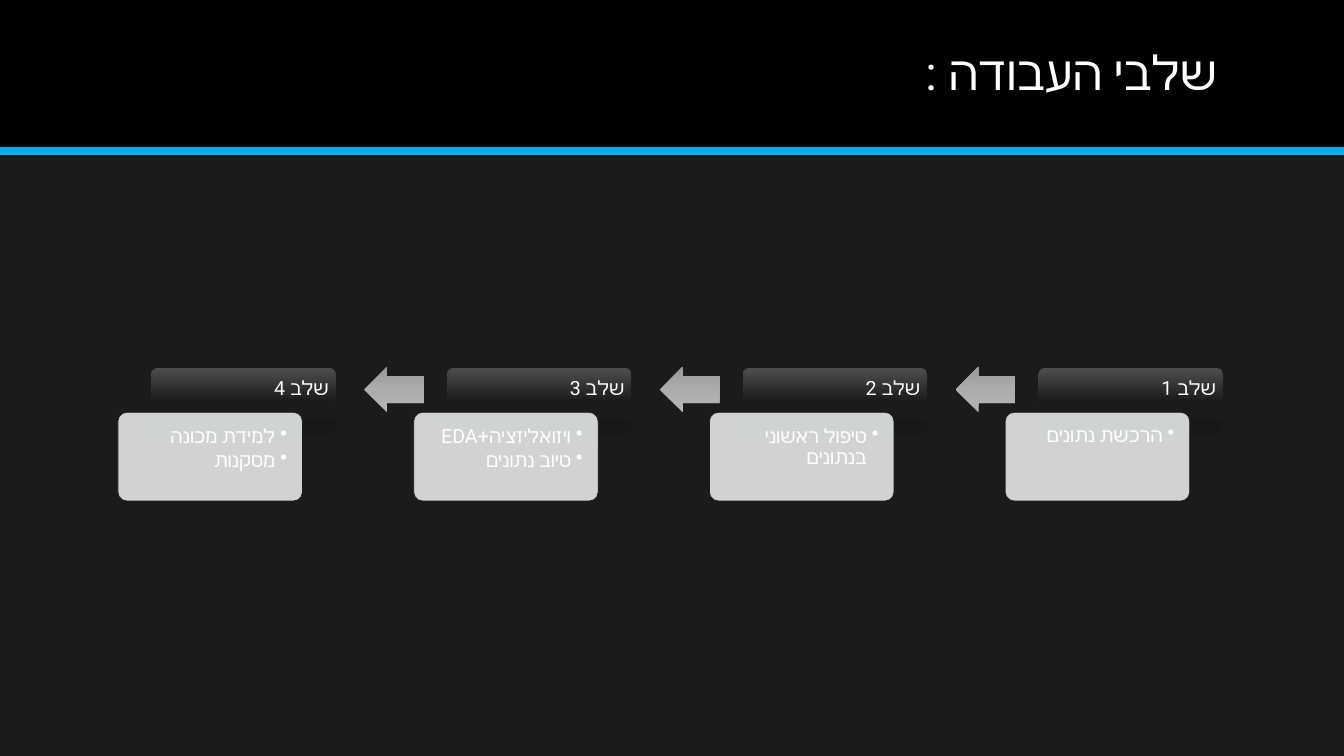
"""Build a dark right-to-left slide showing four work stages joined by arrows."""
from dataclasses import dataclass

import pptx
import pptx.dml.color
import pptx.enum.shapes
import pptx.enum.text
import pptx.oxml
import pptx.oxml.ns
import pptx.util
from lxml import etree

Inches = pptx.util.Inches
Pt = pptx.util.Pt
Shape = pptx.enum.shapes.MSO_SHAPE
Anchor = pptx.enum.text.MSO_ANCHOR
qn = pptx.oxml.ns.qn

FONT = "Roboto"
COLORS = {
    "background": "1B1B1B",
    "banner": "000000",
    "rule": "00B0EA",
    "text": "FFFFFF",
    "card": "E5E8E8",
}
HEADER_GRADIENT = ("4E4E4E", "1B1B1B", "181818")
ARROW_GRADIENT = ("B5B5B5", "ACACAC", "999999")
FIRST_LEFT = 10.3
PITCH = 8.8 / 3


@dataclass(frozen=True)
class Stage:
    """One work stage: its label and its bullet points."""
    label: str
    points: tuple[str, ...]


STAGES = (
    Stage("שלב 1", ("הרכשת נתונים",)),
    Stage("שלב 2", ("טיפול ראשוני בנתונים",)),
    Stage("שלב 3", ("ויזואליזציה+EDA", "טיוב נתונים")),
    Stage("שלב 4", ("למידת מכונה", "מסקנות")),
)


def rgb(name: str) -> pptx.dml.color.RGBColor:
    """Look up a named colour."""
    return pptx.dml.color.RGBColor.from_string(COLORS[name])


def add_shape(slide, kind, left: float, top: float, width: float, height: float,
              fill: str = "", gradient: tuple[str, ...] = (), adjust: tuple[float, ...] = ()):
    """Add a borderless preset shape with a solid or vertical gradient fill."""
    sp = slide.shapes.add_shape(kind, Inches(left), Inches(top), Inches(width), Inches(height))
    sp.shadow.inherit = False
    sp.line.fill.background()
    for i, value in enumerate(adjust):
        sp.adjustments[i] = value
    if gradient:
        sp.fill.gradient()
        sp.fill.gradient_angle = 270
        stops = sp.element.spPr.find(qn("a:gradFill")).find(qn("a:gsLst"))
        for stop in list(stops):
            stops.remove(stop)
        for i, color in enumerate(gradient):
            stop = etree.SubElement(stops, qn("a:gs"), pos=str(i * 50000))
            etree.SubElement(stop, qn("a:srgbClr"), val=color)
    else:
        sp.fill.solid()
        sp.fill.fore_color.rgb = rgb(fill)
    return sp


def add_text(slide, lines: tuple[str, ...], left: float, top: float, width: float, height: float, *,
             size: float = 14, anchor=Anchor.TOP, after: float = 0, bullet: bool = False,
             insets: tuple[float, float, float, float] = (0.11, 0.11, 0.11, 0.11)) -> None:
    """Add right-to-left text, one paragraph per line."""
    box = slide.shapes.add_textbox(Inches(left), Inches(top), Inches(width), Inches(height))
    tf = box.text_frame
    tf.word_wrap = True
    tf.vertical_anchor = anchor
    tf.margin_left, tf.margin_top, tf.margin_right, tf.margin_bottom = map(Inches, insets)
    for i, line in enumerate(lines):
        p = tf.paragraphs[0] if i == 0 else tf.add_paragraph()
        p.alignment = pptx.enum.text.PP_ALIGN.RIGHT
        p.line_spacing = 0.9
        p.space_after = Pt(after)
        pPr = p._p.get_or_add_pPr()
        pPr.set("rtl", "1")
        if bullet:
            p.level = 1
            pPr.set("marL", str(Inches(0.12)))
            pPr.set("indent", str(Inches(-0.12)))
            etree.SubElement(pPr, qn("a:buChar"), char="•")
        r = p.add_run()
        r.text = line
        r.font.size = Pt(size)
        r.font.name = FONT
        r.font.color.rgb = rgb("text")
        etree.SubElement(r._r.get_or_add_rPr(), qn("a:cs"), typeface=FONT)


def add_banner(slide) -> None:
    """Draw the title banner with its rule."""
    add_shape(slide, Shape.RECTANGLE, 0, 0, 13.33, 1.5, fill="banner")
    rule = slide.shapes.add_connector(pptx.enum.shapes.MSO_CONNECTOR.STRAIGHT,
                                      Inches(13.33), Inches(1.5), Inches(0), Inches(1.5))
    rule.line.color.rgb = rgb("rule")
    rule.line.width = Pt(6)
    etree.SubElement(rule.element.spPr, qn("a:effectLst"))
    add_text(slide, ("שלבי העבודה :",), 1.17, 0.14, 11, 1.2, size=34,
             anchor=Anchor.MIDDLE, insets=(0.1, 0.05, 0.1, 0.05))


def add_stage(slide, stage: Stage, left: float, has_next: bool) -> None:
    """Draw a stage header, its card and the arrow to the next stage."""
    add_shape(slide, Shape.ROUNDED_RECTANGLE, left, 3.65, 1.83, 0.66,
              gradient=HEADER_GRADIENT, adjust=(0.1,))
    add_text(slide, (stage.label,), left + 0.04, 3.65, 1.83, 0.44, after=5,
             insets=(0.11, 0.11, 0.11, 0.06))
    card = add_shape(slide, Shape.ROUNDED_RECTANGLE, left - 0.33, 4.09, 1.83, 0.88,
                     fill="card", adjust=(0.1,))
    color = card.element.spPr.find(qn("a:solidFill")).find(qn("a:srgbClr"))
    etree.SubElement(color, qn("a:alpha"), val="90000")
    card.line.color.rgb = rgb("background")
    card.line.width = Pt(0.5)
    add_text(slide, stage.points, left - 0.31, 4.12, 1.77, 0.83, after=2, bullet=True)
    if has_next:
        arrow = add_shape(slide, Shape.RIGHT_ARROW, left - 0.82, 3.64, 0.59, 0.45,
                          gradient=ARROW_GRADIENT, adjust=(0.6, 0.5))
        arrow.rotation = 180


def main() -> None:
    """Build and save the slide."""
    prs = pptx.Presentation()
    prs.slide_width, prs.slide_height = Inches(13.33), Inches(7.5)
    slide = prs.slides.add_slide(prs.slide_layouts[6])
    slide.background.fill.solid()
    slide.background.fill.fore_color.rgb = rgb("background")
    add_banner(slide)
    for i, stage in enumerate(STAGES):
        add_stage(slide, stage, FIRST_LEFT - i * PITCH, i < len(STAGES) - 1)
    prs.save("out.pptx")


if __name__ == "__main__":
    main()
